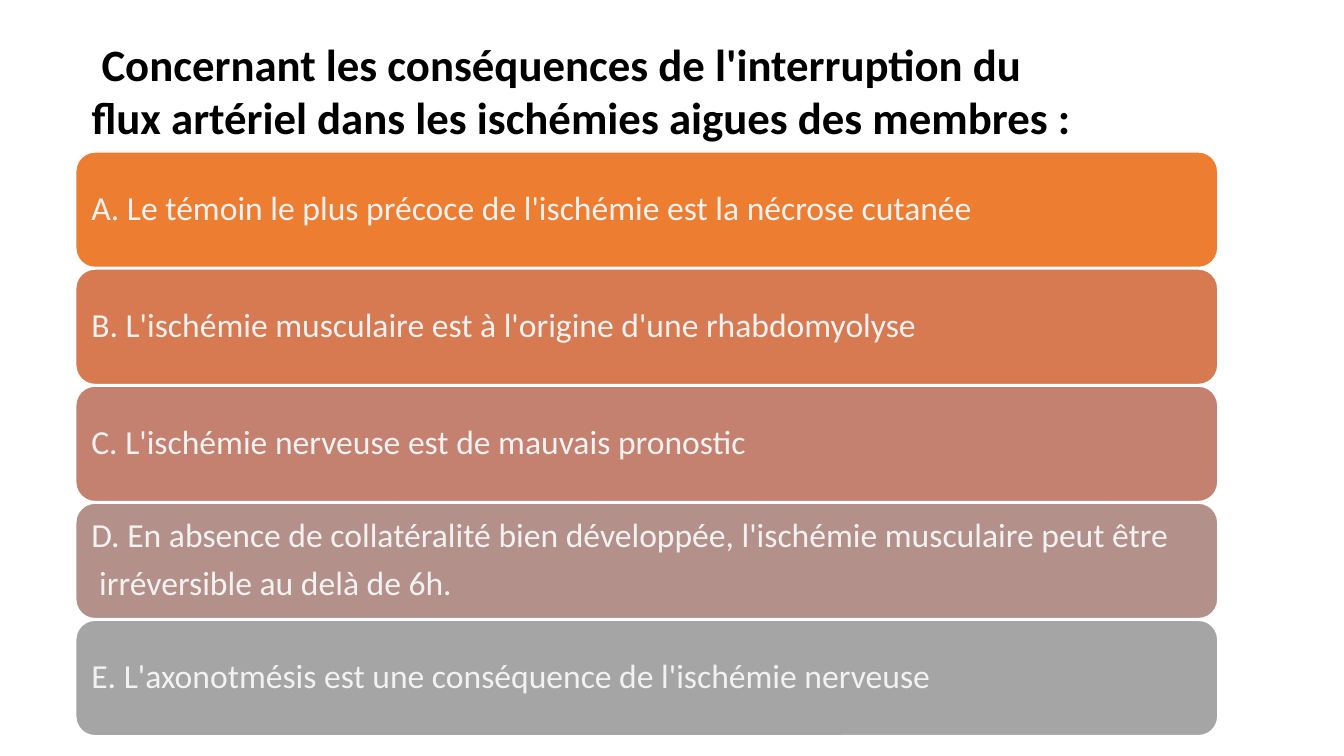
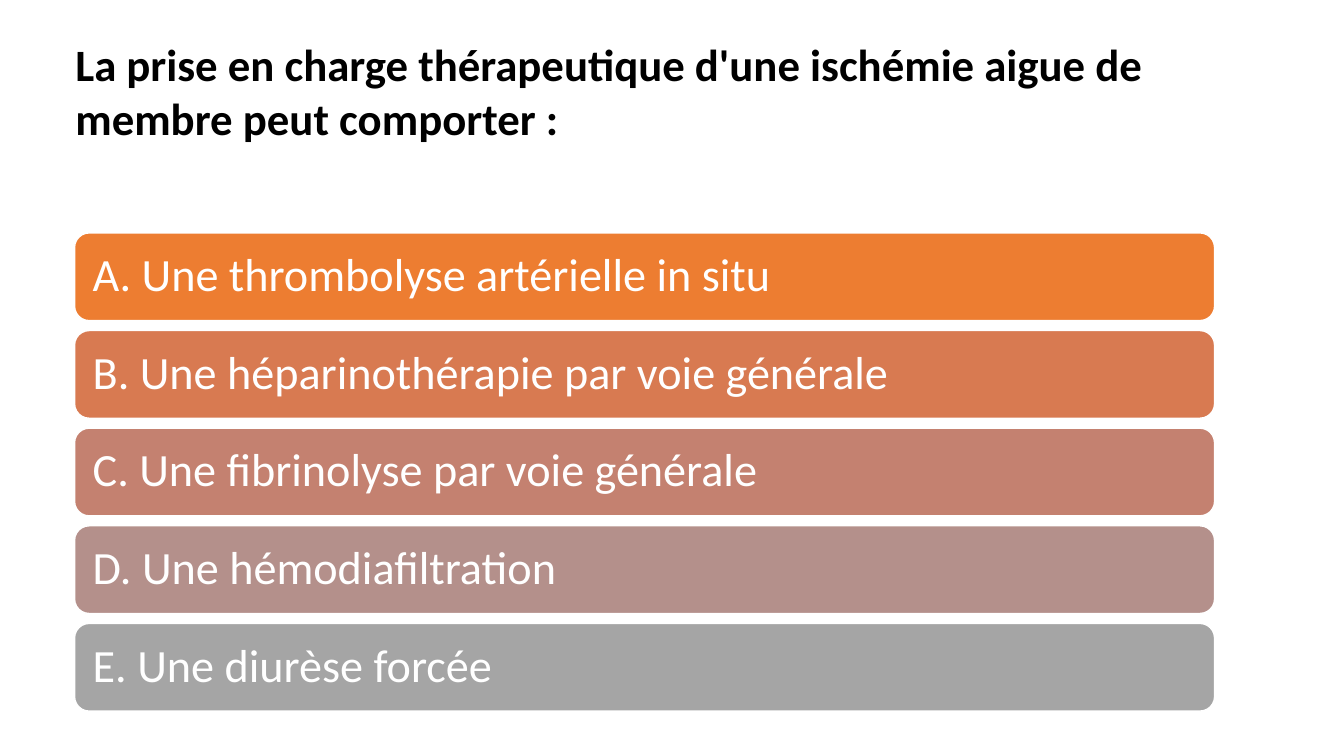
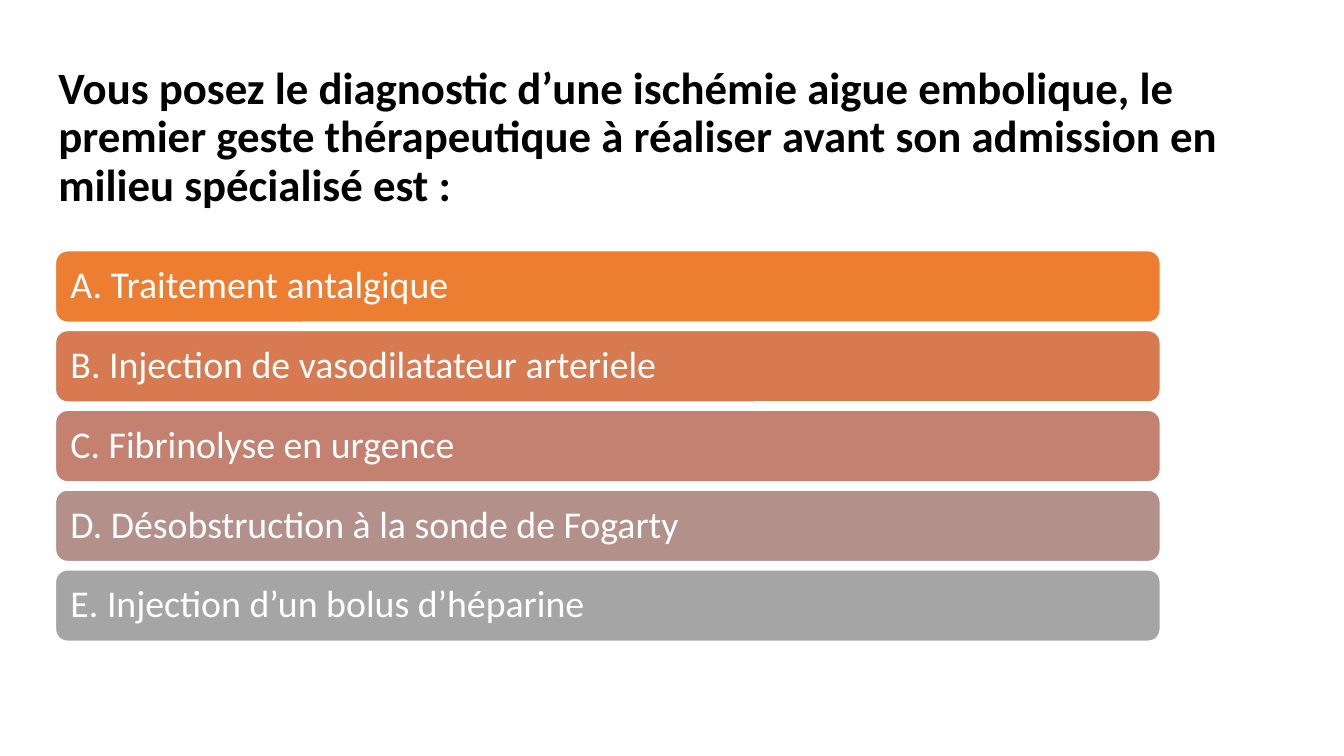
"""Build three multiple-choice slides on acute limb ischaemia."""
from pptx import Presentation
from pptx.dml.color import RGBColor
from pptx.enum.shapes import MSO_SHAPE
from pptx.enum.text import MSO_ANCHOR, PP_ALIGN
from pptx.util import Cm, Pt

FONT = "Calibri"
COLOURS = {"title": "000000", "white": "FFFFFF", "soft": "F2F2F2"}
BAR_FILLS = ["ED7D31", "D87A51", "C48170", "B4908B", "A5A5A5"]
TITLE_SIZE = 32
HANGING_SPACE = 0.2

QUESTIONS = [
    {
        "title": ["Concernant les conséquences de l'interruption du",
                  "flux artériel dans les ischémies aigues des membres :"],
        "title_box": (2.06, 0.79, 30.02, 3), "title_indent": 0.25,
        "title_anchor": MSO_ANCHOR.TOP, "title_spacing": 1.0,
        "options": [
            ["A. Le témoin le plus précoce de l'ischémie est la nécrose cutanée"],
            ["B. L'ischémie musculaire est à l'origine d'une rhabdomyolyse"],
            ["C. L'ischémie nerveuse est de mauvais pronostic"],
            ["D. En absence de collatéralité bien développée, l'ischémie musculaire peut être",
             "irréversible au delà de 6h."],
            ["E. L'axonotmésis est une conséquence de l'ischémie nerveuse"],
        ],
        "bar": (1.91, 3.83, 28.78, 2.91), "pitch": 2.95,
        "size": 24, "inset": 0.25, "colour": "soft",
    },
    {
        "title": ["La prise en charge thérapeutique d'une ischémie aigue de membre peut comporter :"],
        "title_box": (1.65, 0.81, 30.02, 5.13), "title_indent": 0,
        "title_anchor": MSO_ANCHOR.TOP, "title_spacing": 1.0,
        "options": [
            ["A. Une thrombolyse artérielle in situ"],
            ["B. Une héparinothérapie par voie générale"],
            ["C. Une fibrinolyse par voie générale"],
            ["D. Une hémodiafiltration"],
            ["E. Une diurèse forcée"],
        ],
        "bar": (1.88, 5.87, 28.73, 2.21), "pitch": 2.46,
        "size": 33, "inset": 0.35, "colour": "white",
    },
    {
        "title": ["Vous posez le diagnostic d’une ischémie aigue embolique, le premier geste "
                  "thérapeutique à réaliser avant son admission en milieu spécialisé est :"],
        "title_box": (1.22, 1.02, 31.22, 4.93), "title_indent": 0,
        "title_anchor": MSO_ANCHOR.MIDDLE, "title_spacing": 0.9,
        "options": [
            ["A. Traitement antalgique"],
            ["B. Injection de vasodilatateur arteriele"],
            ["C. Fibrinolyse en urgence"],
            ["D. Désobstruction à la sonde de Fogarty"],
            ["E. Injection d’un bolus d’héparine"],
        ],
        "bar": (1.4, 6.32, 27.84, 1.8), "pitch": 2.01,
        "size": 27, "inset": 0.29, "colour": "white",
    },
]


def add_run(paragraph, text, size, colour, bold=False):
    run = paragraph.add_run()
    run.text = text
    run.font.name = FONT
    run.font.size = Pt(size)
    run.font.bold = bold
    run.font.color.rgb = RGBColor.from_string(COLOURS[colour])


def add_title(slide, question):
    frame = slide.shapes.add_textbox(*map(Cm, question["title_box"])).text_frame
    frame.word_wrap = True
    frame.vertical_anchor = question["title_anchor"]
    paragraph = frame.paragraphs[0]
    paragraph.line_spacing = question["title_spacing"]
    paragraph._p.get_or_add_pPr().set("indent", str(Cm(question["title_indent"])))
    for index, line in enumerate(question["title"]):
        if index:
            paragraph.add_line_break()
        add_run(paragraph, line, TITLE_SIZE, "title", bold=True)


def add_option(slide, question, index, lines, fill):
    left, top, width, height = question["bar"]
    box = (left, top + index * question["pitch"], width, height)
    bar = slide.shapes.add_shape(MSO_SHAPE.ROUNDED_RECTANGLE, *map(Cm, box))
    bar.shadow.inherit = False
    bar.fill.solid()
    bar.fill.fore_color.rgb = RGBColor.from_string(fill)
    bar.line.color.rgb = RGBColor.from_string(COLOURS["white"])
    bar.line.width = Pt(1)
    frame = bar.text_frame
    frame.word_wrap = True
    frame.vertical_anchor = MSO_ANCHOR.MIDDLE
    for side in ("left", "top", "right", "bottom"):
        setattr(frame, f"margin_{side}", Cm(question["inset"]))
    for number, line in enumerate(lines):
        paragraph = frame.add_paragraph() if number else frame.paragraphs[0]
        paragraph.alignment = PP_ALIGN.LEFT
        paragraph.line_spacing = 0.9
        paragraph.space_after = Pt(0.35 * question["size"])
        if number:
            paragraph._p.get_or_add_pPr().set("marL", str(Cm(HANGING_SPACE)))
        add_run(paragraph, line, question["size"], question["colour"])


def main():
    presentation = Presentation()
    presentation.slide_width, presentation.slide_height = Cm(33.87), Cm(19.05)
    for question in QUESTIONS:
        slide = presentation.slides.add_slide(presentation.slide_layouts[6])
        add_title(slide, question)
        for index, (lines, fill) in enumerate(zip(question["options"], BAR_FILLS)):
            add_option(slide, question, index, lines, fill)
    presentation.save("out.pptx")


if __name__ == "__main__":
    main()
